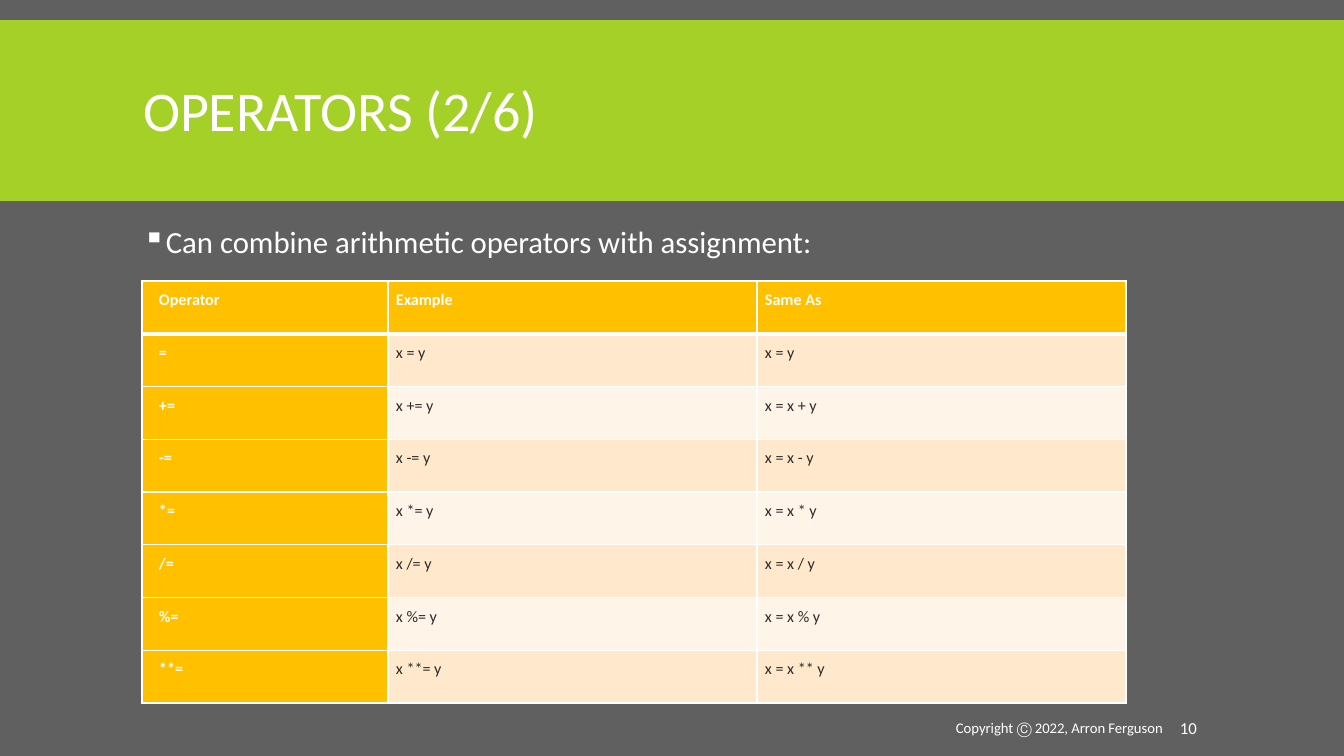
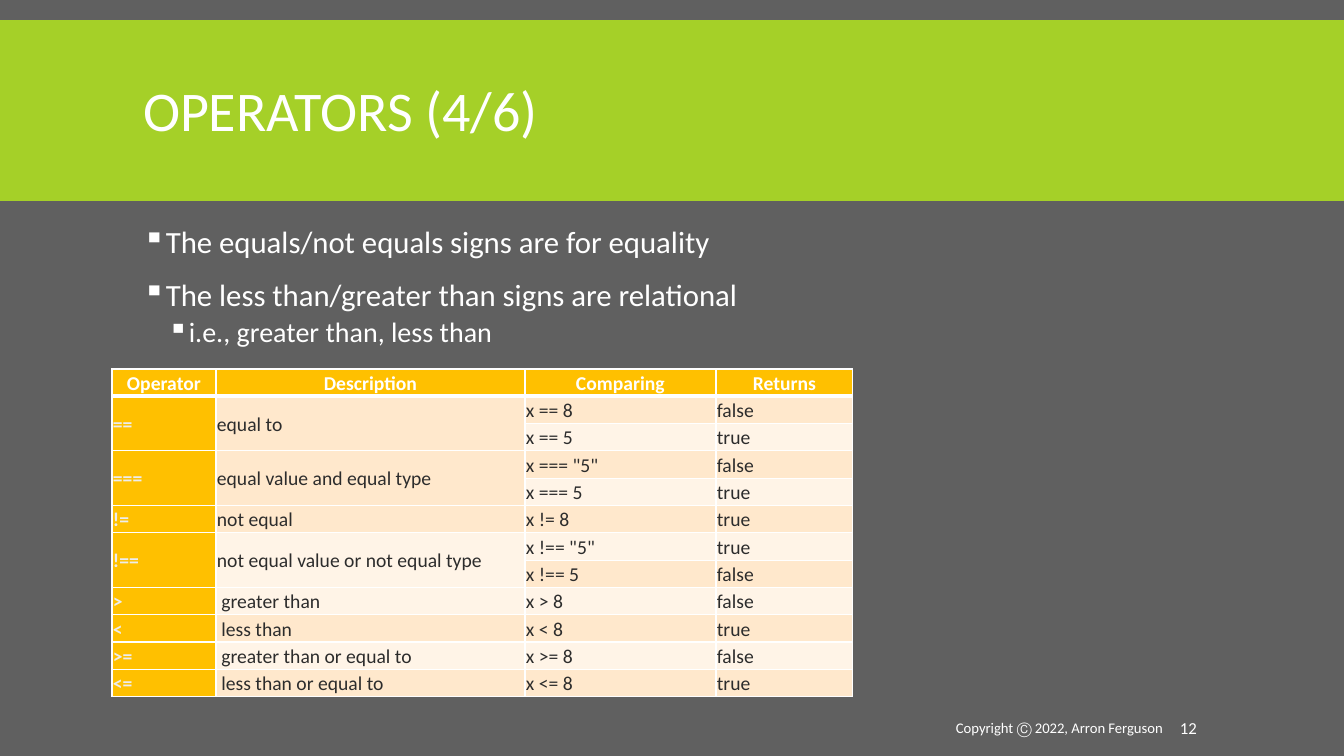
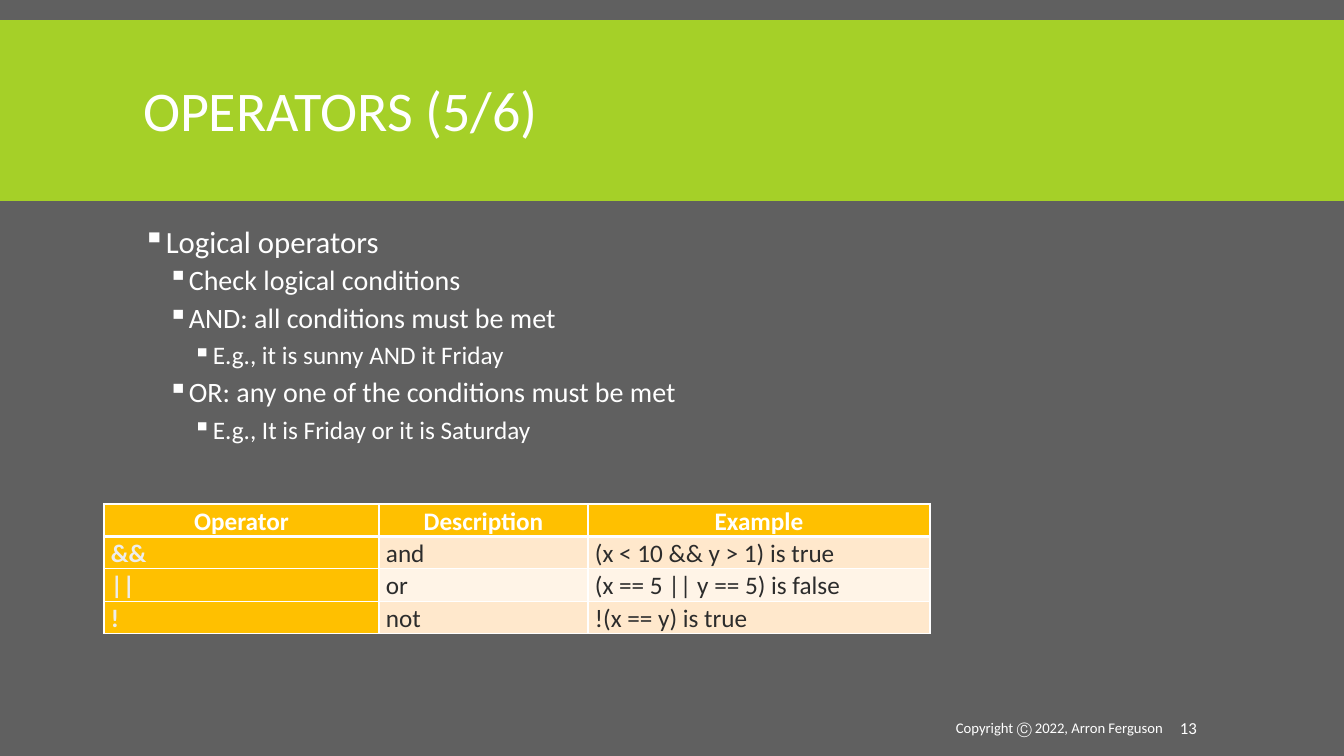
"""Build three slides on operators, each with a band, bullets and a table."""
from dataclasses import dataclass

from lxml.etree import SubElement
from pptx import Presentation
from pptx.dml.color import RGBColor
from pptx.enum.shapes import MSO_SHAPE
from pptx.enum.text import MSO_ANCHOR, MSO_AUTO_SIZE, PP_ALIGN
from pptx.oxml.ns import qn
from pptx.util import Emu, Pt

SLIDE_W, SLIDE_H = 1344, 756
EMU_PER_PX = 12192000 / SLIDE_W


@dataclass(frozen=True)
class Theme:
    font: str = "Calibri"
    background: str = "606060"
    band: str = "A5D028"
    white: str = "FFFFFF"
    pale: str = "EDEDED"
    ink: str = "2C2C2C"
    header: str = "FFC000"
    stripes: tuple = ("FFF4E7", "FFE8CC")
    title_size: float = 40
    bullet_sizes: tuple = (22, 20, 18)
    copyright_size: float = 10.5
    number_size: float = 12
    border: float = 1
    header_rule: float = 3


THEME = Theme()


@dataclass(frozen=True)
class Grid:
    box: tuple
    columns: tuple
    rows: tuple
    size: float
    insets: tuple
    first_inset: int
    operator_color: str = THEME.pale
    spacing: float = 0
    header_align: PP_ALIGN = PP_ALIGN.CENTER
    anchor: MSO_ANCHOR = MSO_ANCHOR.TOP
    spans: tuple = ()


ASSIGNMENT = Grid(
    box=(142, 281, 984, 422), columns=(246, 369, 369), size=11.5,
    insets=(8, 8, 8, 8), first_inset=17, operator_color=THEME.white,
    spacing=15, header_align=PP_ALIGN.LEFT,
    rows=(
        ("Operator", "Example", "Same As"),
        ("=", "x = y", "x = y"),
        ("+=", "x += y", "x = x + y"),
        ("-=", "x -= y", "x = x - y"),
        ("*=", "x *= y", "x = x * y"),
        ("/=", "x /= y", "x = x / y"),
        ("%=", "x %= y", "x = x % y"),
        ("**=", "x **= y", "x = x ** y"),
    ))

COMPARISON = Grid(
    box=(112, 369, 741, 328), columns=(104, 309, 191, 137), size=14,
    insets=(1, 1, 1, 1), first_inset=1, anchor=MSO_ANCHOR.MIDDLE,
    spans=(1, 3, 6),
    rows=(
        ("Operator", "Description", "Comparing", "Returns"),
        ("==", "equal to", "x == 8", "false"),
        ("", "", "x == 5", "true"),
        ("===", "equal value and equal type", 'x === "5"', "false"),
        ("", "", "x === 5", "true"),
        ("!=", "not equal", "x != 8", "true"),
        ("!==", "not equal value or not equal type", 'x !== "5"', "true"),
        ("", "", "x !== 5", "false"),
        ("> ", " greater than", "x > 8", "false"),
        ("< ", " less than", "x < 8", "true"),
        (">=", " greater than or equal to", "x >= 8", "false"),
        ("<=", " less than or equal to", "x <= 8", "true"),
    ))

LOGICAL = Grid(
    box=(104, 504, 826, 129), columns=(275, 209, 342), size=18,
    insets=(7, 0, 7, 0), first_inset=7,
    rows=(
        ("Operator", "Description", "Example"),
        ("&&", "and", "(x < 10 && y > 1) is true"),
        ("||", "or", "(x == 5 || y == 5) is false"),
        ("!", "not", "!(x == y) is true"),
    ))

SLIDES = (
    ("OPERATORS (2/6)", "10",
     ((0, "Can combine arithmetic operators with assignment:"),), ASSIGNMENT),
    ("OPERATORS (4/6)", "12",
     ((0, "The equals/not equals signs are for equality"),
      (0, "The less than/greater than signs are relational"),
      (1, "i.e., greater than, less than")), COMPARISON),
    ("OPERATORS (5/6)", "13",
     ((0, "Logical operators"),
      (1, "Check logical conditions"),
      (1, "AND: all conditions must be met"),
      (2, "E.g., it is sunny AND it Friday"),
      (1, "OR: any one of the conditions must be met"),
      (2, "E.g., It is Friday or it is Saturday")), LOGICAL),
)


def px(length):
    """Turn px into EMU."""
    return Emu(round(length * EMU_PER_PX))


def rgb(color):
    """Turn a hex string into a colour."""
    return RGBColor.from_string(color)


def add_run(paragraph, text, size, color=THEME.white, bold=False):
    """Add one formatted run."""
    run = paragraph.add_run()
    run.text = text
    run.font.name = THEME.font
    run.font.size = Pt(size)
    run.font.bold = bold
    run.font.color.rgb = rgb(color)


def set_insets(target, insets):
    """Set the left, top, right and bottom margins of a frame or cell."""
    (target.margin_left, target.margin_top,
     target.margin_right, target.margin_bottom) = map(px, insets)


def set_spacing(paragraph, line, before=0, after=0):
    """Set line spacing and the space around a paragraph."""
    paragraph.line_spacing = line
    paragraph.space_before = Pt(before)
    paragraph.space_after = Pt(after)


def add_band(slide, layout):
    """Draw the title band and place it behind everything on the layout."""
    band = slide.shapes.add_shape(
        MSO_SHAPE.RECTANGLE, *map(px, (0, 20, SLIDE_W, 181)))
    band.shadow.inherit = False
    band.fill.solid()
    band.fill.fore_color.rgb = rgb(THEME.band)
    band.line.fill.background()
    layout.shapes.element.insert(2, band.element)


def set_title(slide, text):
    """Place and format the title placeholder."""
    title = slide.shapes.title
    title.left, title.top, title.width, title.height = map(
        px, (133, 31, 1079, 166))
    frame = title.text_frame
    frame.auto_size = MSO_AUTO_SIZE.NONE
    frame.vertical_anchor = MSO_ANCHOR.MIDDLE
    heading = frame.paragraphs[0]
    heading.alignment = PP_ALIGN.LEFT
    set_spacing(heading, 0.85)
    add_run(heading, text, THEME.title_size)


def add_text_frame(slide, box):
    """Add a wrapping text box and return its frame."""
    frame = slide.shapes.add_textbox(*map(px, box)).text_frame
    frame.word_wrap = True
    return frame


def add_bullets(slide, items):
    """Write the bulleted list."""
    frame = add_text_frame(slide, (133, 222, 1079, 464))
    for index, (level, text) in enumerate(items):
        item = frame.add_paragraph() if index else frame.paragraphs[0]
        item.level = level
        set_spacing(item, 0.9, *((2, 4) if level else (12, 2)))
        properties = item._p.get_or_add_pPr()
        properties.set("marL", str(px(20 + 25 * level)))
        properties.set("indent", str(px(-20)))
        bullet_color = SubElement(properties, qn("a:buClr"))
        SubElement(bullet_color, qn("a:srgbClr"), val=THEME.white)
        SubElement(properties, qn("a:buChar"), char="▪")
        add_run(item, text, THEME.bullet_sizes[level])


def add_borders(cell, row):
    """Line a cell in white, with a heavy rule under the header."""
    top = THEME.header_rule if row == 1 else THEME.border
    bottom = THEME.header_rule if row == 0 else THEME.border
    widths = {"L": THEME.border, "R": THEME.border, "T": top, "B": bottom}
    properties = cell._tc.get_or_add_tcPr()
    for edge, width in widths.items():
        line = SubElement(properties, qn(f"a:ln{edge}"), w=str(Pt(width)))
        fill = SubElement(line, qn("a:solidFill"))
        SubElement(fill, qn("a:srgbClr"), val=THEME.white)


def fill_cell(cell, text, row, column, grid):
    """Format one cell by its place in the table."""
    header, operator = row == 0, column == 0
    left = grid.first_inset if operator else grid.insets[0]
    set_insets(cell, (left, *grid.insets[1:]))
    cell.vertical_anchor = grid.anchor
    add_borders(cell, row)
    cell.fill.solid()
    cell.fill.fore_color.rgb = rgb(
        THEME.header if header or operator else THEME.stripes[row % 2])
    entry = cell.text_frame.paragraphs[0]
    entry.alignment = grid.header_align if header else PP_ALIGN.LEFT
    set_spacing(entry, 1.07, grid.spacing, grid.spacing)
    body_color = grid.operator_color if operator else THEME.ink
    if text:
        add_run(entry, text, grid.size, THEME.white if header else body_color,
                bold=header or operator)


def add_grid(slide, grid):
    """Add the operator table."""
    table = slide.shapes.add_table(
        len(grid.rows), len(grid.columns), *map(px, grid.box)).table
    for column, width in zip(table.columns, grid.columns):
        column.width = px(width)
    for row, texts in enumerate(grid.rows):
        for column, text in enumerate(texts):
            fill_cell(table.cell(row, column), text, row, column, grid)
    for row in grid.spans:
        for column in (0, 1):
            table.cell(row, column).merge(table.cell(row + 1, column))


def add_footer(slide, number):
    """Write the copyright line and the slide number."""
    notice = add_text_frame(slide, (617, 708, 556, 40))
    page = add_text_frame(slide, (1175, 708, 104, 40))
    set_insets(page, (5, 5, 10, 5))
    notice.vertical_anchor = page.vertical_anchor = MSO_ANCHOR.MIDDLE
    notice.paragraphs[0].alignment = PP_ALIGN.RIGHT
    add_run(notice.paragraphs[0], "Copyright Ⓒ 2022, Arron Ferguson",
            THEME.copyright_size)
    add_run(page.paragraphs[0], number, THEME.number_size)


def main():
    """Build and save the presentation."""
    deck = Presentation()
    deck.slide_width, deck.slide_height = px(SLIDE_W), px(SLIDE_H)
    backdrop = deck.slide_master.background.fill
    backdrop.solid()
    backdrop.fore_color.rgb = rgb(THEME.background)
    layout = deck.slide_layouts.get_by_name("Title Only")
    slides = [deck.slides.add_slide(layout) for _ in SLIDES]
    add_band(slides[0], layout)
    for slide, (title, number, bullets, grid) in zip(slides, SLIDES):
        set_title(slide, title)
        add_bullets(slide, bullets)
        add_grid(slide, grid)
        add_footer(slide, number)
    deck.save("out.pptx")


if __name__ == "__main__":
    main()
